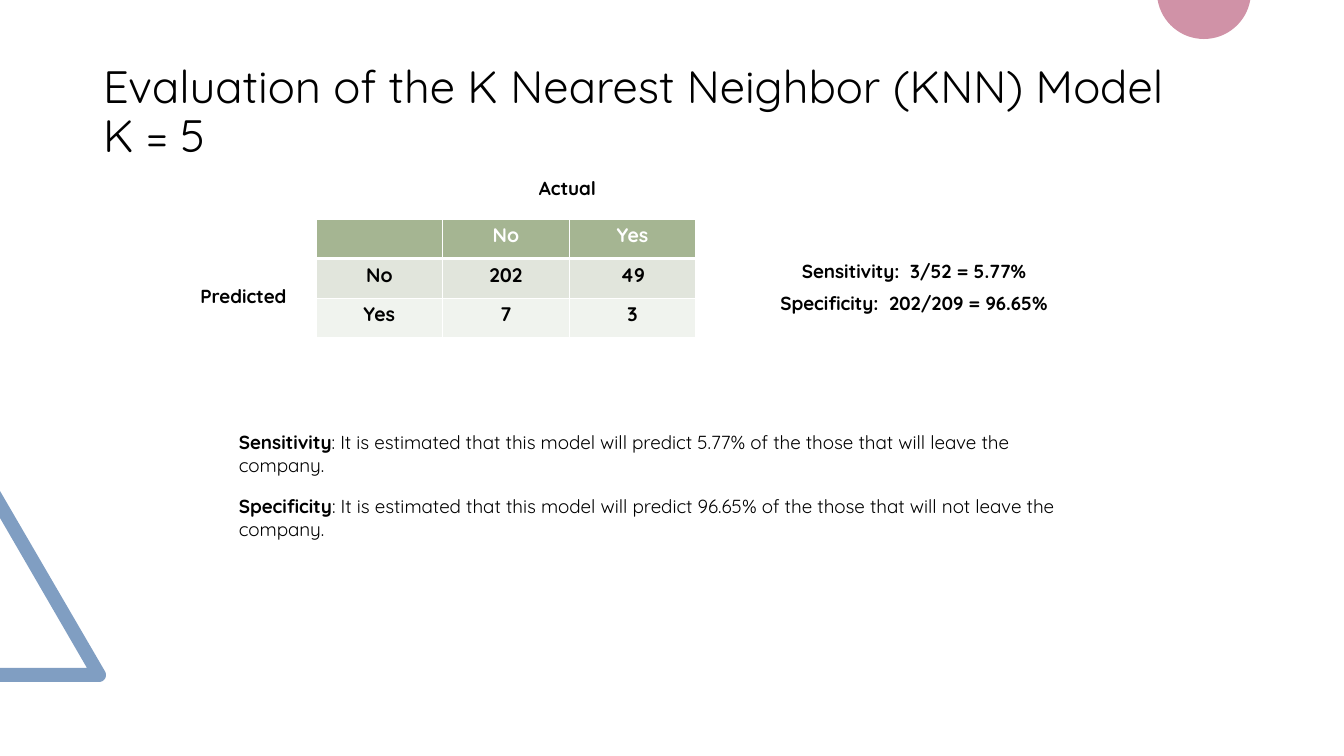
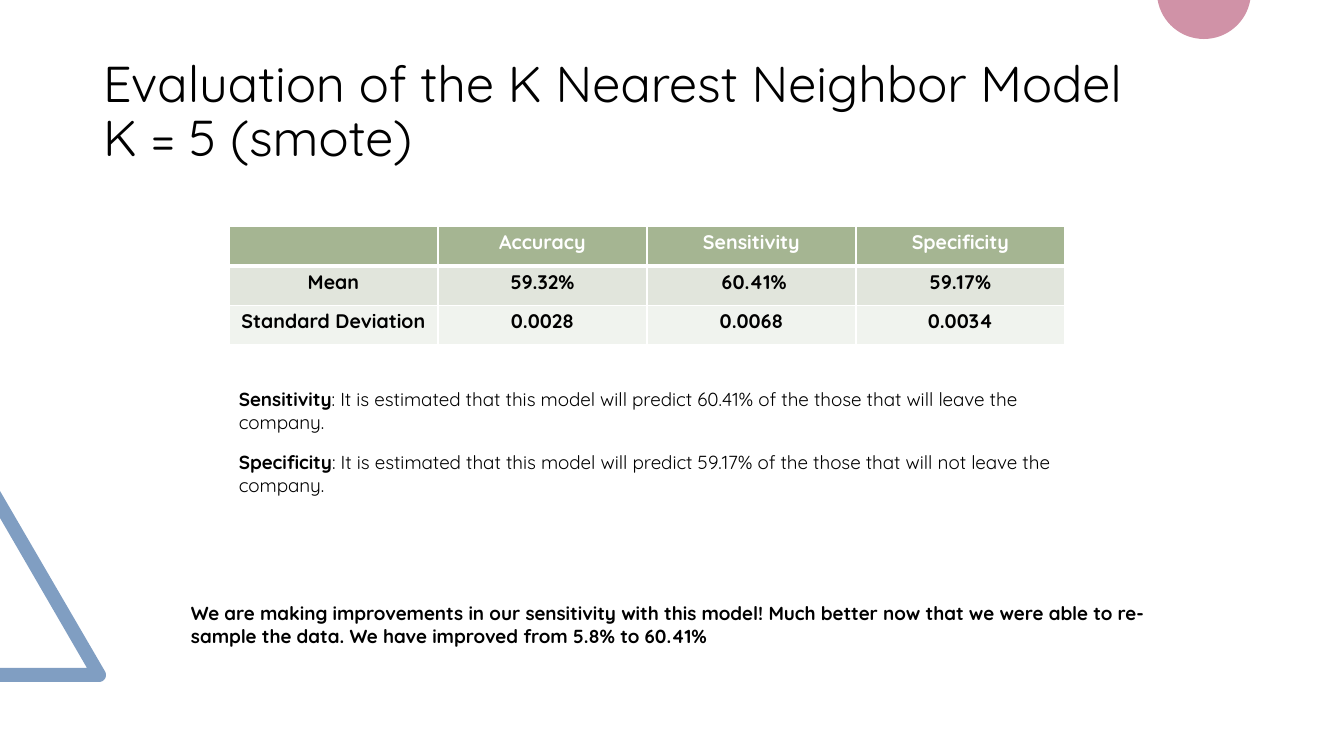
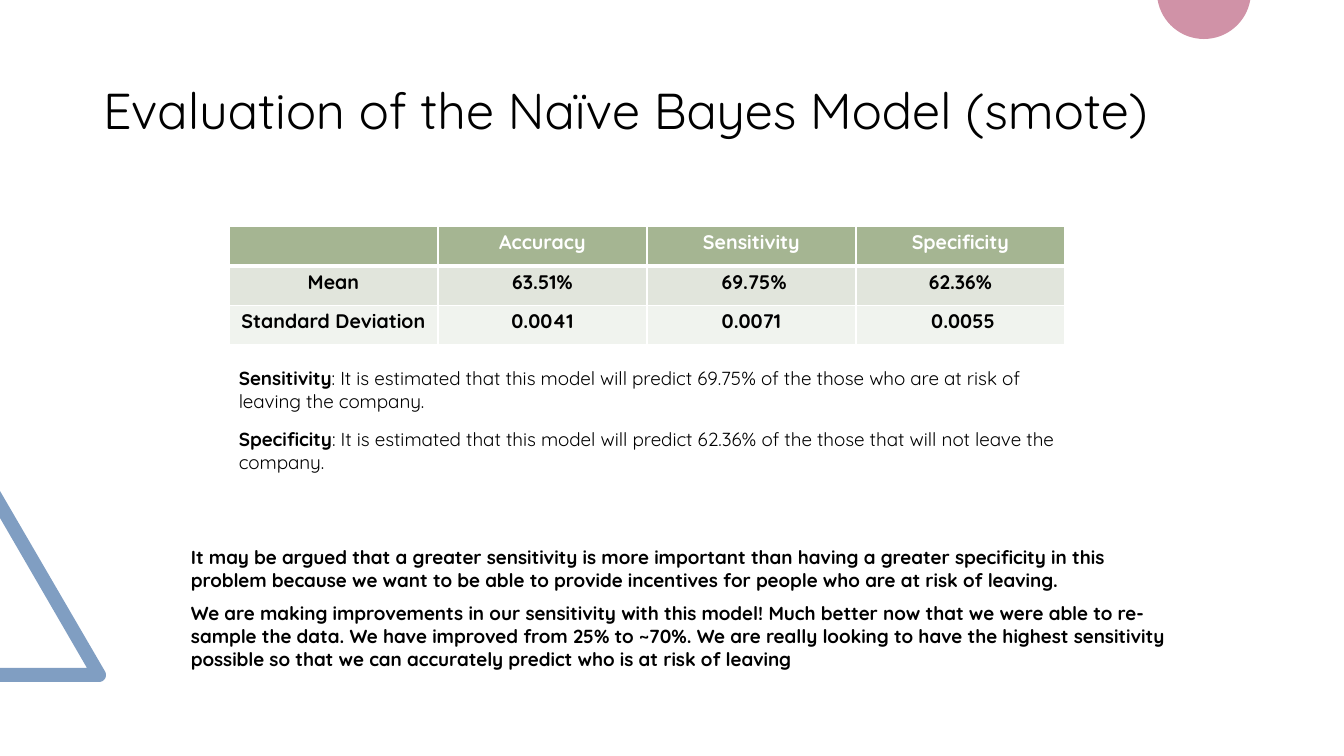
import math

from pptx import Presentation
from pptx.dml.color import RGBColor
from pptx.enum.shapes import PP_PLACEHOLDER
from pptx.enum.text import MSO_ANCHOR, MSO_AUTO_SIZE, PP_ALIGN
from pptx.oxml import parse_xml
from pptx.oxml.ns import nsdecls
from pptx.util import Emu, Pt

EMU_PER_PX = 914400 / 100.8
SLIDE_WIDTH, SLIDE_HEIGHT = 1344, 756
TITLE_ONLY_LAYOUT = 5

FONT = "Quicksand"
BLACK = RGBColor(0x00, 0x00, 0x00)
WHITE = RGBColor(0xFF, 0xFF, 0xFF)
BLUE = RGBColor(0x80, 0x9E, 0xC2)
PINK = RGBColor(0xD0, 0x92, 0xA7)
HEADER_GREEN = RGBColor(0xA5, 0xB5, 0x92)
ROW_GREENS = (RGBColor(0xE1, 0xE5, 0xDC), RGBColor(0xF0, 0xF3, 0xEE))

LEFT, CENTER = PP_ALIGN.LEFT, PP_ALIGN.CENTER
TOP, MIDDLE = MSO_ANCHOR.TOP, MSO_ANCHOR.MIDDLE
NO_AUTOFIT = MSO_AUTO_SIZE.NONE
TITLE_TYPE = PP_PLACEHOLDER.TITLE

TITLE_BOX = (93, 40, 1159, 146)
METRICS_BOX = (229, 226, 836, 119)
METRICS_HEADER = ("", "Accuracy", "Sensitivity", "Specificity")
LEAVERS = "that will leave the company."
STAYERS = "that will not leave the company."


def px(length):
    return Emu(round(length * EMU_PER_PX))


def place(shape, box):
    shape.left, shape.top, shape.width, shape.height = map(px, box)


def write(paragraph, text, size=13.5, color=BLACK, bold=False, align=LEFT):
    """Append text to the paragraph; a newline becomes a line break."""
    paragraph.alignment = align
    for number, line in enumerate(text.split("\n")):
        if number:
            paragraph.add_line_break()
        run = paragraph.add_run()
        run.text = line
        font = run.font
        font.name, font.size, font.bold = FONT, Pt(size), bold
        font.color.rgb = color


def add_text(slide, box, text, **text_format):
    """Add a wrapping text box and return its paragraph."""
    shape = slide.shapes.add_textbox(*map(px, box))
    shape.text_frame.word_wrap = True
    paragraph = shape.text_frame.paragraphs[0]
    write(paragraph, text, **text_format)
    return paragraph


def arc(center_x, center_y, radius, start, end, steps=32):
    """Return points along an arc; angles in degrees, clockwise from the right."""
    angles = [math.radians(start + (end - start) * step / steps) for step in range(steps + 1)]
    return [(center_x + radius * math.cos(a), center_y + radius * math.sin(a)) for a in angles]


def add_outline(slide, points, color):
    points = [(px(x), px(y)) for x, y in points]
    builder = slide.shapes.build_freeform(*points[0], scale=1.0)
    builder.add_line_segments(points[1:], close=True)
    shape = builder.convert_to_shape()
    shape.shadow.inherit = False
    shape.fill.solid()
    shape.fill.fore_color.rgb = color
    shape.line.fill.background()
    return shape


def decorate_layout(layout, slide):
    """Draw the corner ornaments on the slide and move them to its layout."""
    triangle = [(0, 682), (0, 668), (87, 668), (0, 518), (0, 491), *arc(99, 675, 7, -30, 90)]
    radius, rise = 47, 8
    cut = math.degrees(math.asin(rise / radius))
    circle = arc(1204, -rise, radius, cut, 180 - cut)
    for points, color in ((triangle, BLUE), (circle, PINK)):
        layout.shapes.element.append(add_outline(slide, points, color).element)


def add_title(slide, text, size):
    title = slide.shapes.title
    place(title, TITLE_BOX)
    frame = title.text_frame
    frame.word_wrap, frame.auto_size, frame.vertical_anchor = True, NO_AUTOFIT, MIDDLE
    paragraph = frame.paragraphs[0]
    paragraph.line_spacing = 0.9
    write(paragraph, text, size=size)


def set_borders(cell, top, bottom):
    """Give the cell white borders; top and bottom are widths in points."""
    properties = cell._tc.get_or_add_tcPr()
    widths = {"lnL": 1, "lnR": 1, "lnT": top, "lnB": bottom}
    for position, (side, width) in enumerate(widths.items()):
        border = parse_xml(
            f'<a:{side} {nsdecls("a")} w="{Pt(width)}"><a:solidFill>'
            f'<a:srgbClr val="{WHITE}"/></a:solidFill></a:{side}>'
        )
        properties.insert(position, border)


def add_data_table(slide, box, rows):
    frame = slide.shapes.add_table(len(rows), len(rows[0]), *map(px, box))
    for row_number, row in enumerate(rows):
        is_header = row_number == 0
        fill = HEADER_GREEN if is_header else ROW_GREENS[(row_number - 1) % 2]
        for column_number, text in enumerate(row):
            cell = frame.table.cell(row_number, column_number)
            cell.margin_left = cell.margin_right = px(7)
            cell.margin_top = cell.margin_bottom = px(4)
            cell.vertical_anchor = TOP
            cell.fill.solid()
            cell.fill.fore_color.rgb = fill
            set_borders(cell, top=3 if row_number == 1 else 1, bottom=3 if is_header else 1)
            write(cell.text_frame.paragraphs[0], text, size=14, bold=True, align=CENTER,
                  color=WHITE if is_header else BLACK)


def add_estimates(slide, box, gap, sensitivity, specificity):
    """Explain both rates; each is a pair of the rate and the group it covers."""
    left, top, width, height = box
    measures = {"Sensitivity": sensitivity, "Specificity": specificity}
    for number, (name, (rate, group)) in enumerate(measures.items()):
        paragraph = add_text(slide, (left, top + number * gap, width, height), name, bold=True)
        write(paragraph, f": It is estimated that this model will predict {rate} of the those {group}")


def add_confusion_matrix(slide, box):
    left, top, width, height = box
    rows = [("", "No", "Yes"), ("No", "202", "49"), ("Yes", "7", "3")]
    add_data_table(slide, box, rows)
    labels = [
        ((left + 189, top - 47, 125, 33), "Actual"),
        ((left - 135, top + 61, 125, 33), "Predicted"),
        ((left + width + 44, top + 36, 348, 33), "Sensitivity:  3/52 = 5.77%"),
        ((left + width + 44, top + 68, 348, 33), "Specificity:  202/209 = 96.65%"),
    ]
    for label_box, text in labels:
        add_text(slide, label_box, text, bold=True, align=CENTER)


def build_matrix_slide(slide):
    add_title(slide, "Evaluation of the K Nearest Neighbor (KNN) Model\nK = 5", 32.4)
    add_confusion_matrix(slide, (316, 219, 380, 119))
    add_estimates(slide, (229, 426, 878, 56), 64, ("5.77%", LEAVERS), ("96.65%", STAYERS))


def build_metrics_slide(slide, title, means, deviations, estimates, conclusions):
    """Build a slide with a metrics table; conclusions are pairs of top and text."""
    add_title(slide, title, 36)
    rows = [METRICS_HEADER, ("Mean", *means), ("Standard Deviation", *deviations)]
    add_data_table(slide, METRICS_BOX, rows)
    top, gap, sensitivity, specificity = estimates
    add_estimates(slide, (229, top, 836, 56), gap, sensitivity, specificity)
    for conclusion_top, text in conclusions:
        add_text(slide, (181, conclusion_top, 1001, 56), text, bold=True)


def main():
    presentation = Presentation()
    presentation.slide_width, presentation.slide_height = px(SLIDE_WIDTH), px(SLIDE_HEIGHT)
    layout = presentation.slide_layouts[TITLE_ONLY_LAYOUT]
    for placeholder in layout.placeholders:
        if placeholder.placeholder_format.type == TITLE_TYPE:
            place(placeholder, TITLE_BOX)

    matrix_slide, neighbor_slide, bayes_slide = (
        presentation.slides.add_slide(layout) for _ in range(3)
    )
    decorate_layout(layout, matrix_slide)
    build_matrix_slide(matrix_slide)

    improvement = (
        "We are making improvements in our sensitivity with this model! Much better now "
        "that we were able to re-sample the data. We have improved from "
    )
    build_metrics_slide(
        neighbor_slide,
        "Evaluation of the K Nearest Neighbor Model\nK = 5 (smote)",
        means=("59.32%", " 60.41%", "59.17%"),
        deviations=("0.0028", "0.0068", "0.0034"),
        estimates=(383, 63, ("60.41%", LEAVERS), ("59.17%", STAYERS)),
        conclusions=[(597, improvement + "5.8% to 60.41%")],
    )
    build_metrics_slide(
        bayes_slide,
        "Evaluation of the Naïve Bayes Model (smote)",
        means=("63.51%", " 69.75%", "62.36%"),
        deviations=("0.0041", "0.0071", " 0.0055"),
        estimates=(362, 61, ("69.75%", "who are at risk of leaving the company."),
                   ("62.36%", STAYERS)),
        conclusions=[
            (541, "It may be argued that a greater sensitivity is more important than having "
                  "a greater specificity in this problem because we want to be able to provide "
                  "incentives for people who are at risk of leaving."),
            (597, improvement + "25% to ~70%. We are really looking to have the highest "
                  "sensitivity possible so that we can accurately predict who is at risk of "
                  "leaving"),
        ],
    )
    presentation.save("out.pptx")


if __name__ == "__main__":
    main()
